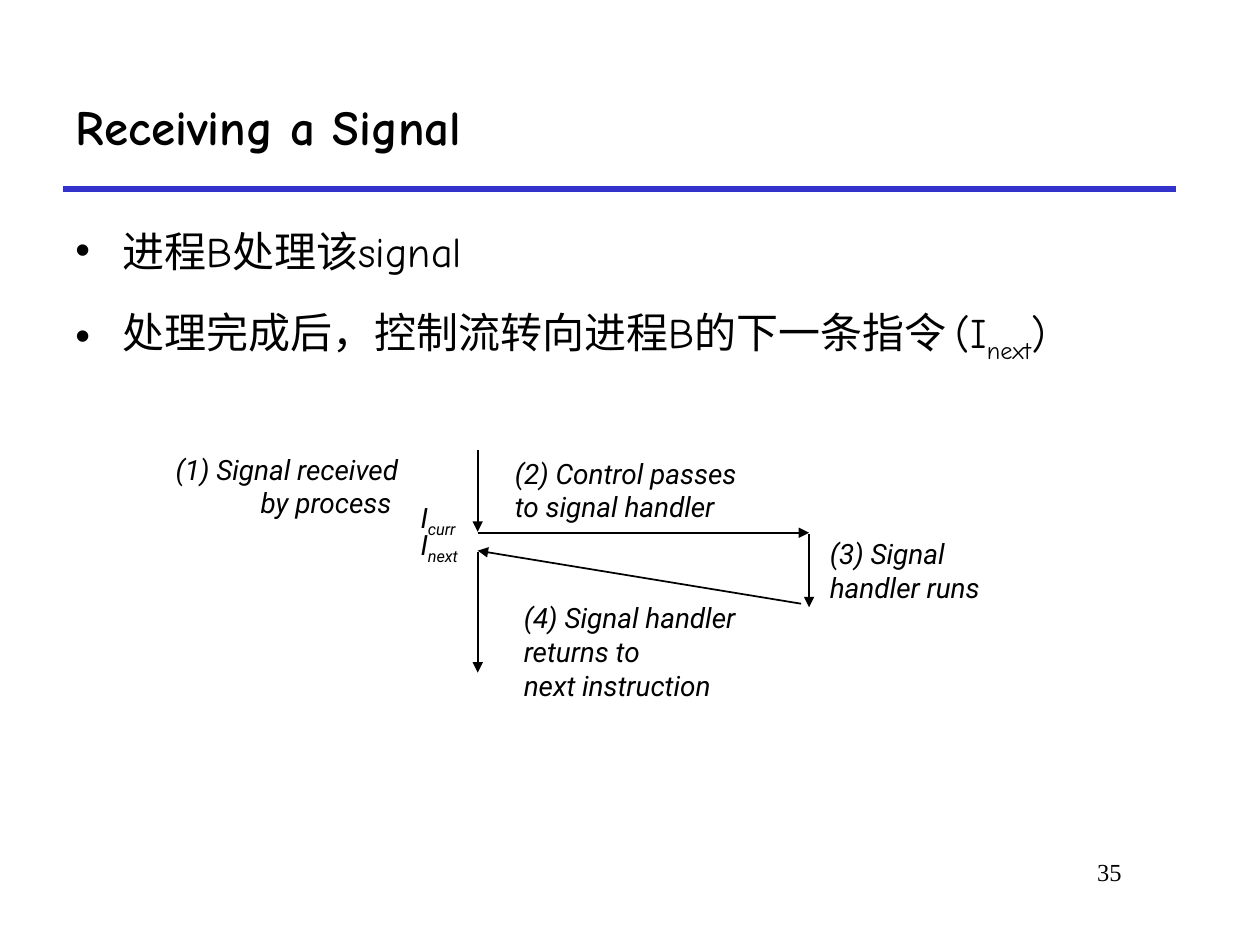
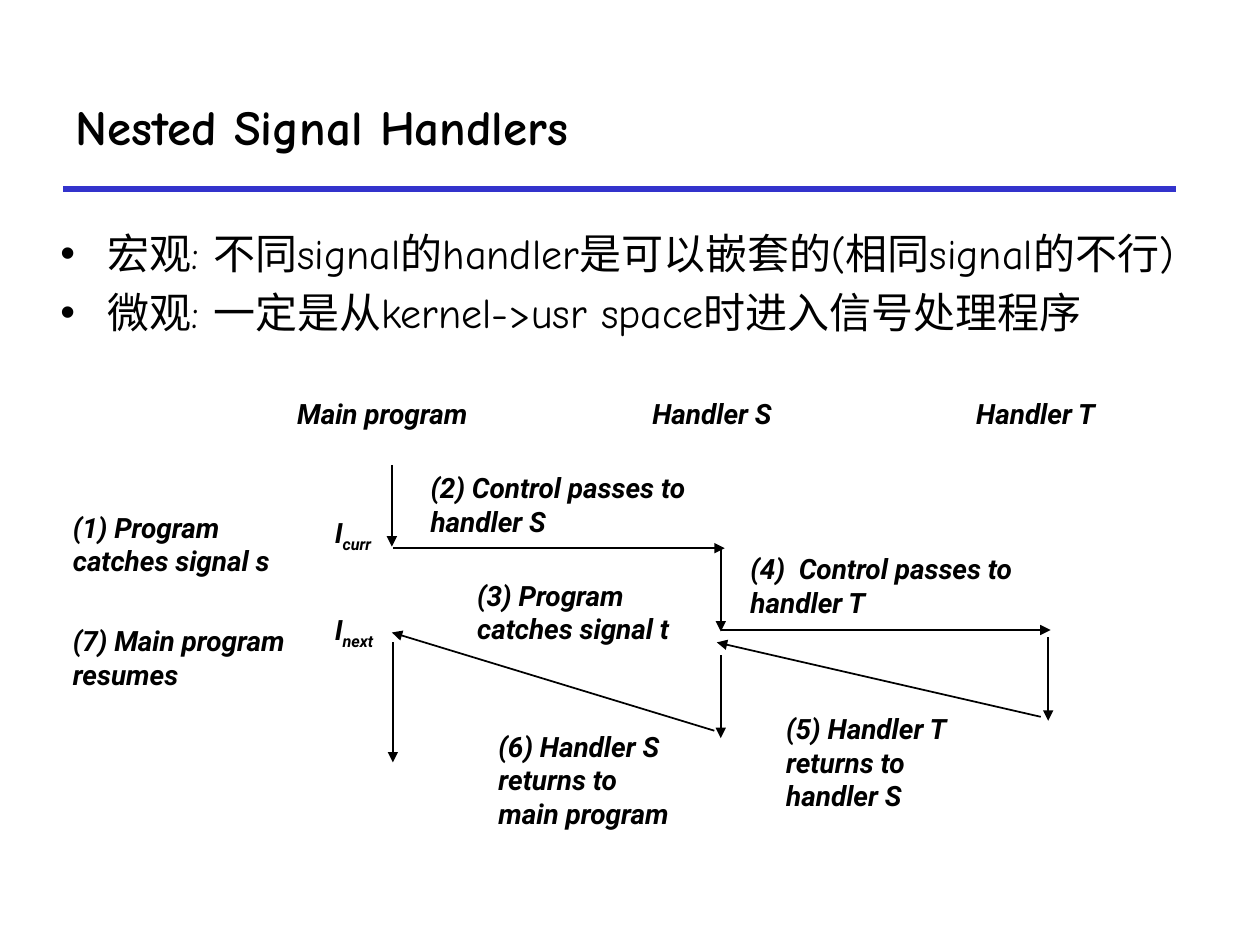
from dataclasses import dataclass

from lxml import etree
from pptx import Presentation
from pptx import util as u
from pptx.dml import color as dml
from pptx.enum import shapes, text
from pptx.oxml import ns

COLOURS = {"ink": "000000", "rule": "3333CC"}
FONTS = {"main": "Comic Neue", "label": "Roboto", "number": "Times New Roman"}
ALIGN = text.PP_ALIGN
Paragraph = tuple[str, ...]  # every second piece is a subscript


@dataclass(frozen=True)
class Style:
    font: str
    size: float
    bold: bool = False
    italic: bool = False


@dataclass(frozen=True)
class Arrow:
    """Start and end points in centimetres."""
    x1: float
    y1: float
    x2: float
    y2: float


@dataclass(frozen=True)
class Label:
    """A diagram caption; lengths in centimetres."""
    left: float
    top: float
    width: float
    paragraphs: tuple[Paragraph, ...]
    lines: int = 2
    wrap: bool = True
    align: ALIGN = ALIGN.LEFT


@dataclass(frozen=True)
class Body:
    left: float
    top: float
    width: float
    height: float
    line_spacing: float
    bullets: tuple[Paragraph, ...]


@dataclass(frozen=True)
class Page:
    title: str
    body: Body
    arrows: tuple[Arrow, ...]
    labels: tuple[Label, ...]
    label_style: Style
    number: str = ""


TITLE = Style(FONTS["main"], 28, bold=True)
BODY = Style(FONTS["main"], 24)
NUMBER = Style(FONTS["number"], 14)

PAGES = (
    Page(
        "Receiving a Signal",
        Body(1.27, 4.01, 22.86, 7.62, 1.4, (
            ("进程B处理该signal",),
            ("处理完成后，控制流转向进程B的下一条指令 (I", "next", ")"),
        )),
        (
            Arrow(9.63, 9.07, 9.63, 10.72),
            Arrow(9.63, 10.74, 16.31, 10.74),
            Arrow(16.31, 10.77, 16.31, 12.24),
            Arrow(16.15, 12.17, 9.63, 11.1),
            Arrow(9.63, 11.13, 9.63, 13.56),
        ),
        (
            Label(2.79, 8.99, 5.49, (("(1) Signal received by process ",),), align=ALIGN.RIGHT),
            Label(10.13, 9.07, 5.33, (("(2) Control passes",), ("to signal handler",)), wrap=False),
            Label(16.48, 10.69, 4.14, (("(3) Signal handler runs",),)),
            Label(10.31, 11.99, 5, (("(4) Signal handler",), ("returns to",),
                                    ("next instruction",)), lines=3, wrap=False),
            Label(8.23, 9.96, 1.32, (("I", "curr"),), lines=1, wrap=False),
            Label(8.23, 10.52, 1.4, (("I", "next"),), lines=1, wrap=False),
        ),
        Style(FONTS["label"], 16, italic=True),
        "35",
    ),
    Page(
        "Nested Signal Handlers",
        Body(0.97, 4.47, 23.8, 1.73, 1, (
            ("宏观: 不同signal的handler是可以嵌套的(相同signal的不行)",),
            ("微观: 一定是从kernel->usr space时进入信号处理程序",),
        )),
        (
            Arrow(7.9, 9.37, 7.9, 11.02),
            Arrow(7.92, 11.05, 14.61, 11.05),
            Arrow(14.53, 11.07, 14.53, 12.73),
            Arrow(14.53, 12.7, 21.18, 12.7),
            Arrow(21.13, 12.85, 21.13, 14.53),
            Arrow(20.98, 14.45, 14.45, 12.95),
            Arrow(14.53, 13.21, 14.53, 14.88),
            Arrow(14.4, 14.73, 7.9, 12.75),
            Arrow(7.92, 12.95, 7.92, 15.37),
        ),
        (
            Label(5.74, 7.87, 4.57, (("Main program",),), lines=1),
            Label(12.9, 7.87, 3.56, (("Handler S",),), lines=1),
            Label(19.43, 7.87, 3.56, (("Handler T",),), lines=1),
            Label(1.22, 10.16, 5.33, (("(1) Program catches signal s",),)),
            Label(8.43, 9.37, 5.69, (("(2) Control passes to handler S",),)),
            Label(9.37, 11.53, 5.16, (("(3) Program catches signal t",),)),
            Label(14.88, 11, 5.87, (("(4)  Control passes to handler T",),)),
            Label(15.6, 14.22, 4.11, (("(5) Handler T",), ("returns to handler S",)), lines=3),
            Label(9.8, 14.58, 4.11, (("(6) Handler S",), ("returns to main program",)), lines=3),
            Label(1.22, 12.45, 5.33, (("(7) Main program resumes",),)),
            Label(6.5, 10.26, 1.52, (("I", "curr"),), lines=1, wrap=False),
            Label(6.5, 12.22, 1.55, (("I", "next"),), lines=1, wrap=False),
        ),
        Style(FONTS["label"], 16, bold=True, italic=True),
    ),
)


def write(frame, paragraphs: tuple[Paragraph, ...], style: Style, align=ALIGN.LEFT) -> None:
    for index, pieces in enumerate(paragraphs):
        paragraph = frame.add_paragraph() if index else frame.paragraphs[0]
        paragraph.alignment = align
        for position, piece in enumerate(pieces):
            run = paragraph.add_run()
            run.text = piece
            run.font.name = style.font
            run.font.size = u.Pt(style.size)
            run.font.bold = style.bold
            run.font.italic = style.italic
            run.font.color.rgb = dml.RGBColor.from_string(COLOURS["ink"])
            if position % 2:
                run.font._element.set("baseline", "-25000")


def add_text_box(slide, left: float, top: float, width: float, height: float):
    box = slide.shapes.add_textbox(u.Cm(left), u.Cm(top), u.Cm(width), u.Cm(height))
    box.text_frame.word_wrap = True
    return box.text_frame


def add_line(slide, line: Arrow, colour: str, width: float, arrowhead: bool = True) -> None:
    connector = slide.shapes.add_connector(
        shapes.MSO_CONNECTOR.STRAIGHT,
        u.Cm(line.x1), u.Cm(line.y1), u.Cm(line.x2), u.Cm(line.y2))
    connector.line.color.rgb = dml.RGBColor.from_string(COLOURS[colour])
    connector.line.width = u.Pt(width)
    if arrowhead:
        etree.SubElement(connector.line._get_or_add_ln(), ns.qn("a:tailEnd"), type="triangle")
    etree.SubElement(connector._element.spPr, ns.qn("a:effectLst"))


def add_title(slide, title: str) -> None:
    shape = slide.shapes.title
    shape.left, shape.top = u.Cm(1.27), u.Cm(1.27)
    shape.width, shape.height = u.Cm(22.43), u.Cm(2.54)
    shape.text_frame.vertical_anchor = text.MSO_ANCHOR.MIDDLE
    write(shape.text_frame, ((title,),), TITLE)
    add_line(slide, Arrow(1.27, 3.81, 23.7, 3.81), "rule", 3, arrowhead=False)


def add_body(slide, body: Body) -> None:
    frame = add_text_box(slide, body.left, body.top, body.width, body.height)
    write(frame, body.bullets, BODY)
    indent = u.Cm(0.95)
    for paragraph in frame.paragraphs:
        paragraph.line_spacing = body.line_spacing
        paragraph.space_before = u.Pt(BODY.size * 0.2)
        properties = paragraph._p.get_or_add_pPr()
        properties.set("marL", str(indent))
        properties.set("indent", str(-indent))
        etree.SubElement(properties, ns.qn("a:buFont"), typeface="Arial")
        etree.SubElement(properties, ns.qn("a:buChar"), char="•")


def add_label(slide, label: Label, style: Style) -> None:
    height = 0.25 + 0.69 * label.lines
    frame = add_text_box(slide, label.left, label.top, label.width, height)
    frame.word_wrap = label.wrap
    frame.auto_size = text.MSO_AUTO_SIZE.SHAPE_TO_FIT_TEXT
    write(frame, label.paragraphs, style, label.align)


def add_page(presentation, page: Page) -> None:
    title_only = presentation.slide_layouts.get_by_name("Title Only")
    slide = presentation.slides.add_slide(title_only)
    add_title(slide, page.title)
    add_body(slide, page.body)
    for arrow in page.arrows:
        add_line(slide, arrow, "ink", 1)
    for label in page.labels:
        add_label(slide, label, page.label_style)
    if page.number:
        frame = add_text_box(slide, 19.25, 17.15, 3.61, 1.27)
        write(frame, ((page.number,),), NUMBER, ALIGN.RIGHT)


def main() -> None:
    presentation = Presentation()
    presentation.slide_width, presentation.slide_height = u.Cm(25.4), u.Cm(19.05)
    for page in PAGES:
        add_page(presentation, page)
    presentation.save("out.pptx")


if __name__ == "__main__":
    main()
